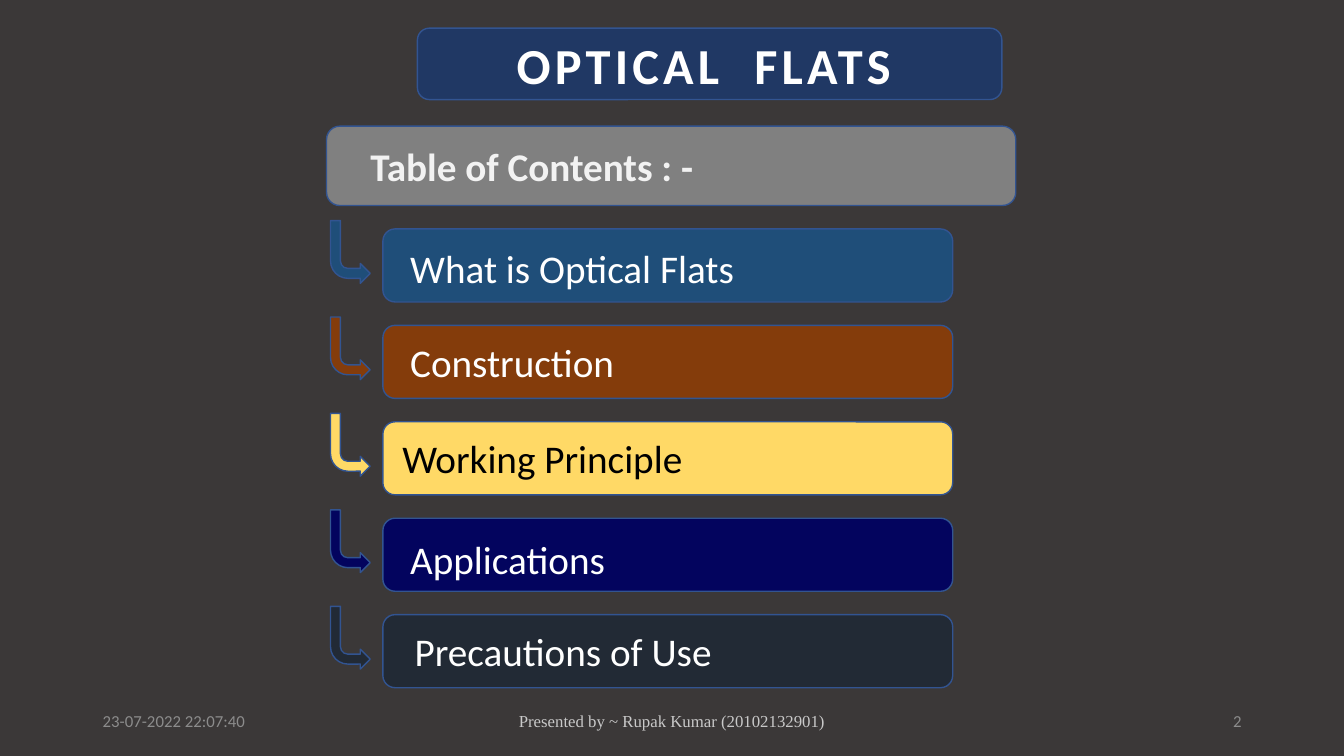
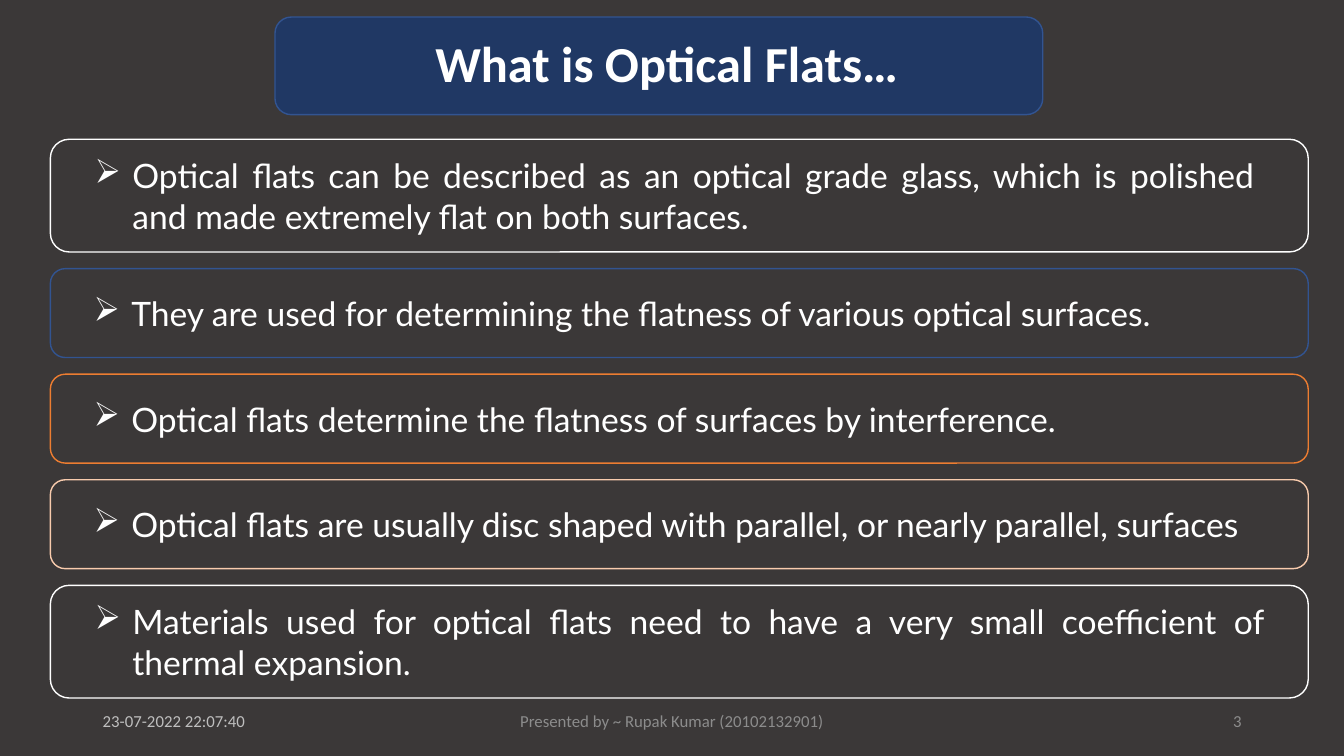
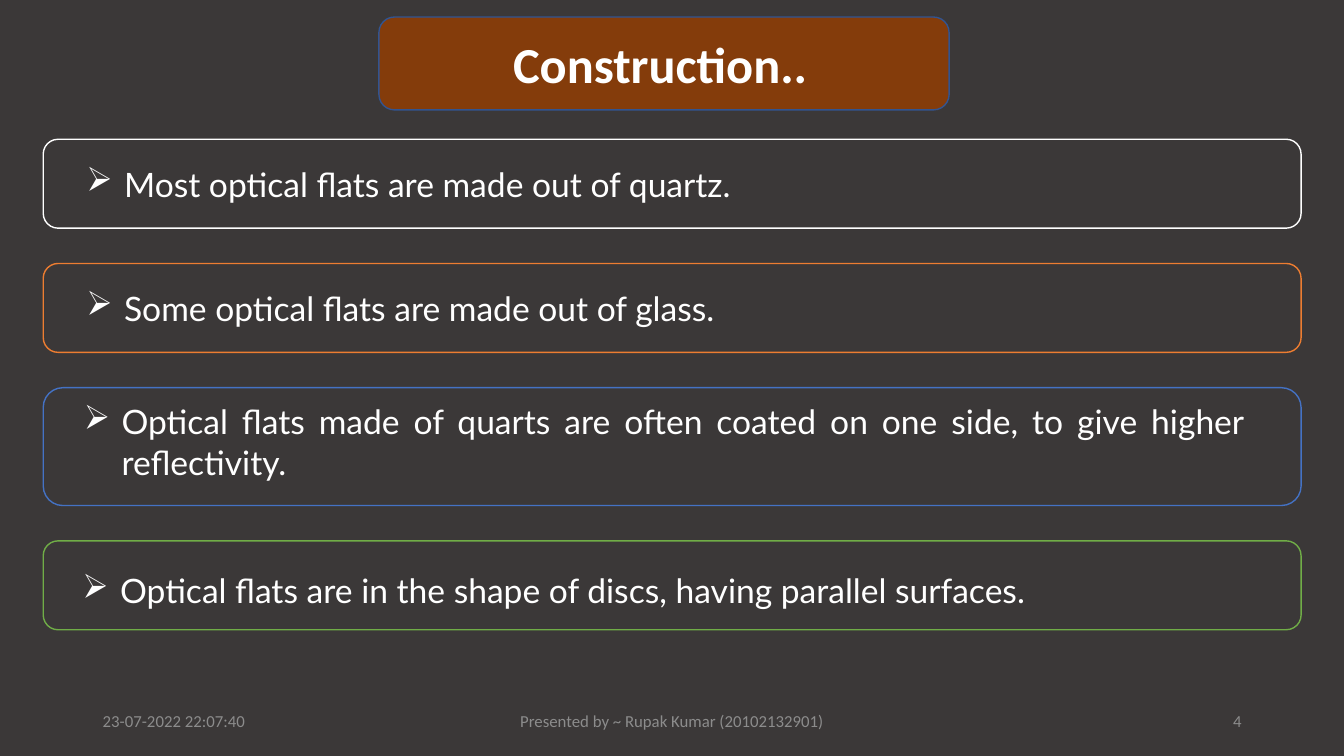
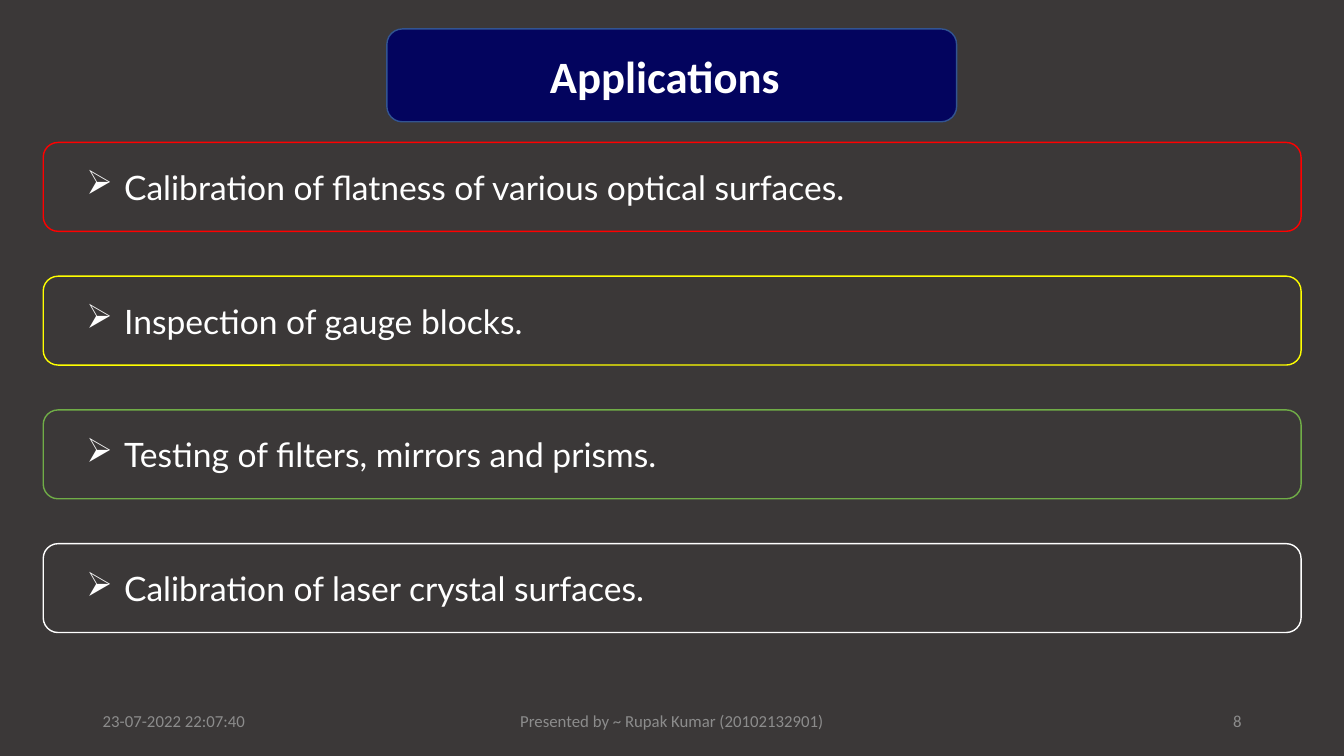
import pptx
import pptx.dml.color
import pptx.enum.shapes
import pptx.enum.text
import pptx.oxml.ns
import pptx.util
from lxml import etree

Cm = pptx.util.Cm
Pt = pptx.util.Pt
MSO_SHAPE = pptx.enum.shapes.MSO_SHAPE
ALIGN = pptx.enum.text.PP_ALIGN
qn = pptx.oxml.ns.qn

SLIDE_WIDTH, SLIDE_HEIGHT = 33.87, 19.05
BACKGROUND = "3B3838"
WHITE = "FFFFFF"
BLACK = "000000"
OUTLINE = "325491"
NAVY = "203864"
RUST = "843C0B"
MIDNIGHT = "03045E"
ORANGE = "ED7D31"
GREEN = "70AD47"
FOOTER_GREY = "8C8C8C"

DATE = "23-07-2022 22:07:40"
PRESENTER = "Presented by ~ Rupak Kumar (20102132901)"

CARD_WIDTH = 31.7
ONE_LINE = 2.24
HANGING = 0.95


def color(hex_string):
    return pptx.dml.color.RGBColor.from_string(hex_string)


def add_box(slide, kind, left, top, width, height, fill, line=OUTLINE):
    shape = slide.shapes.add_shape(kind, Cm(left), Cm(top), Cm(width), Cm(height))
    shape.shadow.inherit = False
    shape.fill.solid()
    shape.fill.fore_color.rgb = color(fill)
    shape.line.color.rgb = color(line)
    shape.line.width = Pt(1)
    return shape


def write(shape, text, size, font_color, font="Calibri", bold=False,
          align=ALIGN.LEFT, inset=(0, 0), drop=0, bullet=None):
    """Write one middle-anchored paragraph; inset is left and right, drop lowers the text."""
    frame = shape.text_frame
    frame.word_wrap = True
    frame.auto_size = pptx.enum.text.MSO_AUTO_SIZE.NONE
    frame.vertical_anchor = pptx.enum.text.MSO_ANCHOR.MIDDLE
    frame.margin_left, frame.margin_right = Cm(inset[0]), Cm(inset[1])
    frame.margin_top = Cm(max(0, 2 * drop))
    frame.margin_bottom = Cm(max(0, -2 * drop))
    frame.text = text
    paragraph = frame.paragraphs[0]
    paragraph.alignment = align
    if bullet:
        properties = paragraph._p.get_or_add_pPr()
        properties.set("marL", str(Cm(HANGING)))
        properties.set("indent", str(-Cm(HANGING)))
        etree.SubElement(properties, qn("a:buChar")).set("char", bullet)
    paragraph.font.name = font
    paragraph.font.size = Pt(size)
    paragraph.font.bold = bold
    paragraph.font.color.rgb = color(font_color)
    return paragraph


def add_title(slide, text, box, fill, inset, size=36, drop=0):
    """Put the title placeholder on a rounded band."""
    left, top, width, height = box
    band = add_box(slide, MSO_SHAPE.ROUNDED_RECTANGLE, *box, fill)
    title = slide.shapes.title
    title.left, title.top = Cm(left + inset), Cm(top)
    title.width, title.height = Cm(width - inset), Cm(height)
    band.element.addnext(title.element)
    return write(title, text, size, WHITE, bold=True, drop=drop)


def add_footer(slide, number, date_color=FOOTER_GREY,
               presenter_color=FOOTER_GREY, presenter_font="Calibri"):
    parts = [
        (2.34, 7.62, DATE, ALIGN.LEFT, date_color, "Calibri"),
        (11.22, 11.43, PRESENTER, ALIGN.CENTER, presenter_color, presenter_font),
        (23.92, 7.62, str(number), ALIGN.RIGHT, FOOTER_GREY, "Calibri"),
    ]
    for left, width, text, align, font_color, font in parts:
        box = slide.shapes.add_textbox(Cm(left), Cm(17.65), Cm(width), Cm(1.02))
        write(box, text, 12, font_color, font=font, align=align, inset=(0.25, 0.25))


def add_contents_entry(slide, left, top, text, fill, font_color, inset, drop):
    """Add a bar with the bent arrow that leads to it."""
    bar = add_box(slide, MSO_SHAPE.ROUNDED_RECTANGLE, left, top, 14.36, 1.84, fill)
    write(bar, text, 28, font_color, inset=(inset, 0), drop=drop)
    arrow = add_box(slide, MSO_SHAPE.BENT_ARROW, left - 1.32, top - 0.21, 1, 1.58, fill)
    arrow.element.spPr.xfrm.set("flipV", "1")


def add_cards(slide, left, top, gap, cards):
    """Stack outlined cards; each is text, outline, then any changed settings."""
    for text, outline, *changes in cards:
        settings = {"height": ONE_LINE, "inset": (0.98, 1.22), "drop": 0}
        settings.update(*changes)
        height = settings.pop("height")
        card = add_box(slide, MSO_SHAPE.ROUNDED_RECTANGLE, left, top,
                       CARD_WIDTH, height, BACKGROUND, outline)
        write(card, text, 24, WHITE, font="Lato", align=ALIGN.JUSTIFY,
              bullet="➢", **settings)
        top += height + gap


def build_contents(slide):
    title = add_title(slide, "OPTICAL  FLATS", (10.52, 0.71, 14.73, 1.8), NAVY, 2.5)
    title.runs[0]._r.get_or_add_rPr().set("spc", "300")
    header = add_box(slide, MSO_SHAPE.ROUNDED_RECTANGLE, 8.23, 3.18, 17.37, 2, "808080")
    write(header, "Table of Contents : -", 28, "F2F2F2", bold=True, inset=(1.01, 0))
    entries = [
        ("What is Optical Flats", "1F4E79", WHITE, 0.6, 0.06),
        ("Construction", RUST, WHITE, 0.6, 0),
        ("Working Principle", "FFD966", BLACK, 0.4, 0),
        ("Applications", MIDNIGHT, WHITE, 0.6, 0.11),
        ("Precautions of Use", "222A35", WHITE, 0.71, 0),
    ]
    for index, entry in enumerate(entries):
        add_contents_entry(slide, 9.65, 5.77 + 2.43 * index, *entry)
    add_footer(slide, 2, presenter_color="C9C9C9", presenter_font="Times New Roman")


def build_definition(slide):
    add_title(slide, "What is Optical Flats…", (6.93, 0.43, 19.35, 2.46), NAVY, 4.04,
              drop=-0.08)
    add_cards(slide, 1.27, 3.51, 0.42, [
        ("Optical flats can be described as an optical grade glass, which is "
         "polished and made extremely flat on both surfaces.", WHITE,
         {"height": 2.84}),
        ("They are used for determining the flatness of various optical surfaces.",
         OUTLINE),
        ("Optical flats determine the flatness of surfaces by interference.", ORANGE),
        ("Optical flats are usually disc shaped with parallel, or nearly parallel, "
         "surfaces", "F8CBAD"),
        ("Materials used for optical flats need to have a very small coefficient "
         "of thermal expansion.", WHITE, {"height": 2.84, "inset": (0.98, 0.98)}),
    ])
    add_footer(slide, 3, date_color="BFBFBF")


def build_construction(slide):
    add_footer(slide, 4)
    add_title(slide, "Construction..", (9.55, 0.43, 14.37, 2.34), RUST, 3.38)
    add_cards(slide, 1.09, 3.51, 0.89, [
        ("Most optical flats are made out of quartz.", WHITE),
        ("Some optical flats are made out of glass.", ORANGE),
        ("Optical flats made of quarts are often coated on one side, to give higher "
         "reflectivity.", "4472C4",
         {"height": 2.97, "inset": (0.88, 1.3), "drop": -0.13}),
        ("Optical flats are in the shape of discs, having parallel surfaces.", GREEN,
         {"inset": (0.88, 1.3), "drop": 0.13}),
    ])


def build_applications(slide):
    add_footer(slide, 8)
    add_title(slide, "Applications", (9.75, 0.73, 14.36, 2.34), MIDNIGHT, 4.11, size=32)
    add_cards(slide, 1.09, 3.59, 1.13, [
        ("Calibration of flatness of various optical surfaces.", "FF0000"),
        ("Inspection of gauge blocks.", "FFFF00"),
        ("Testing of filters, mirrors and prisms.", GREEN),
        ("Calibration of laser crystal surfaces.", WHITE),
    ])


def main():
    presentation = pptx.Presentation()
    presentation.slide_width = Cm(SLIDE_WIDTH)
    presentation.slide_height = Cm(SLIDE_HEIGHT)
    background = presentation.slide_master.background.fill
    background.solid()
    background.fore_color.rgb = color(BACKGROUND)
    title_only = presentation.slide_layouts.get_by_name("Title Only")
    for build in (build_contents, build_definition, build_construction,
                  build_applications):
        build(presentation.slides.add_slide(title_only))
    presentation.save("out.pptx")


if __name__ == "__main__":
    main()
